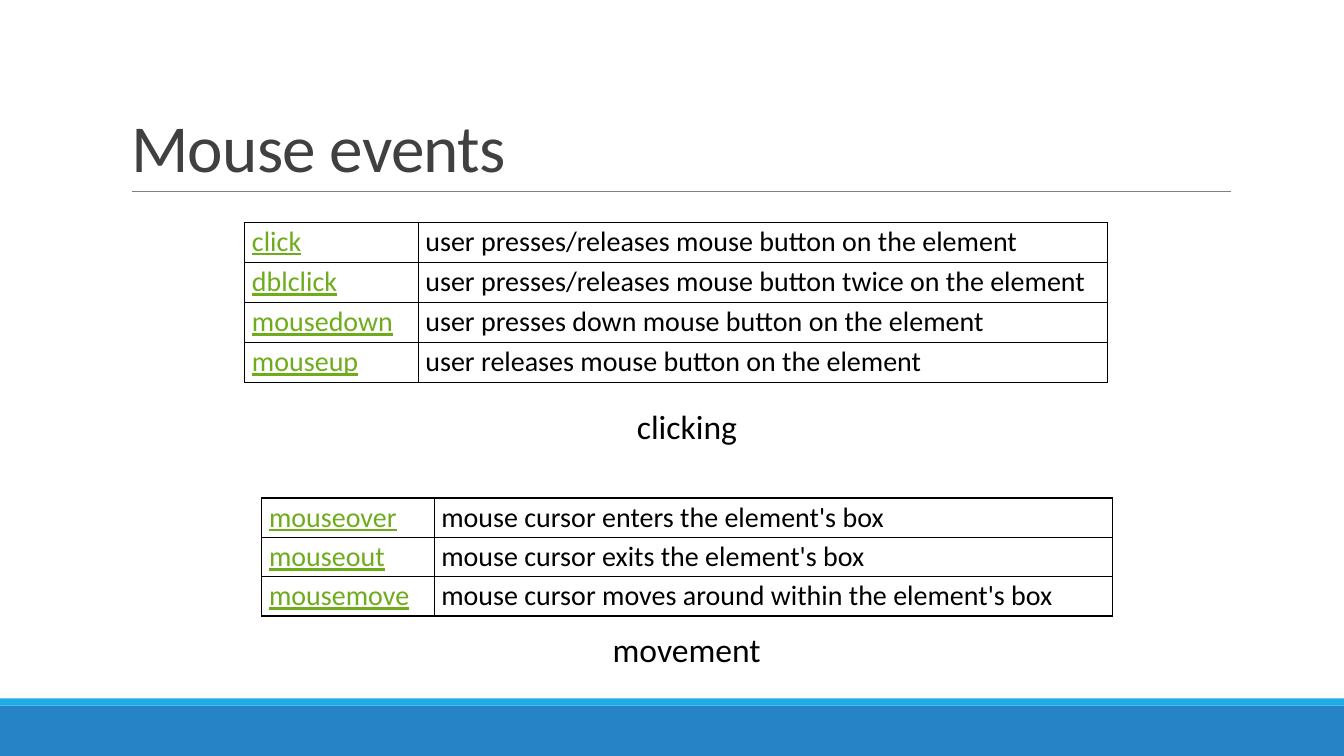
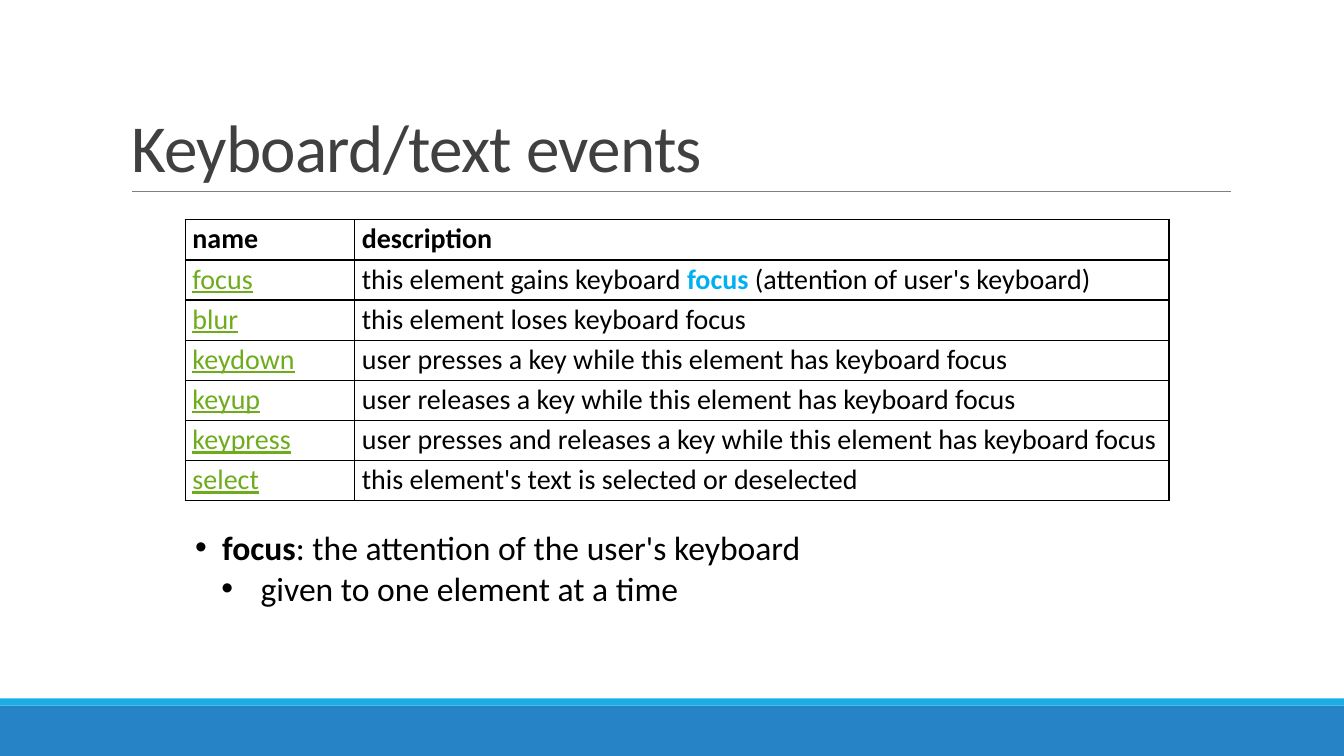
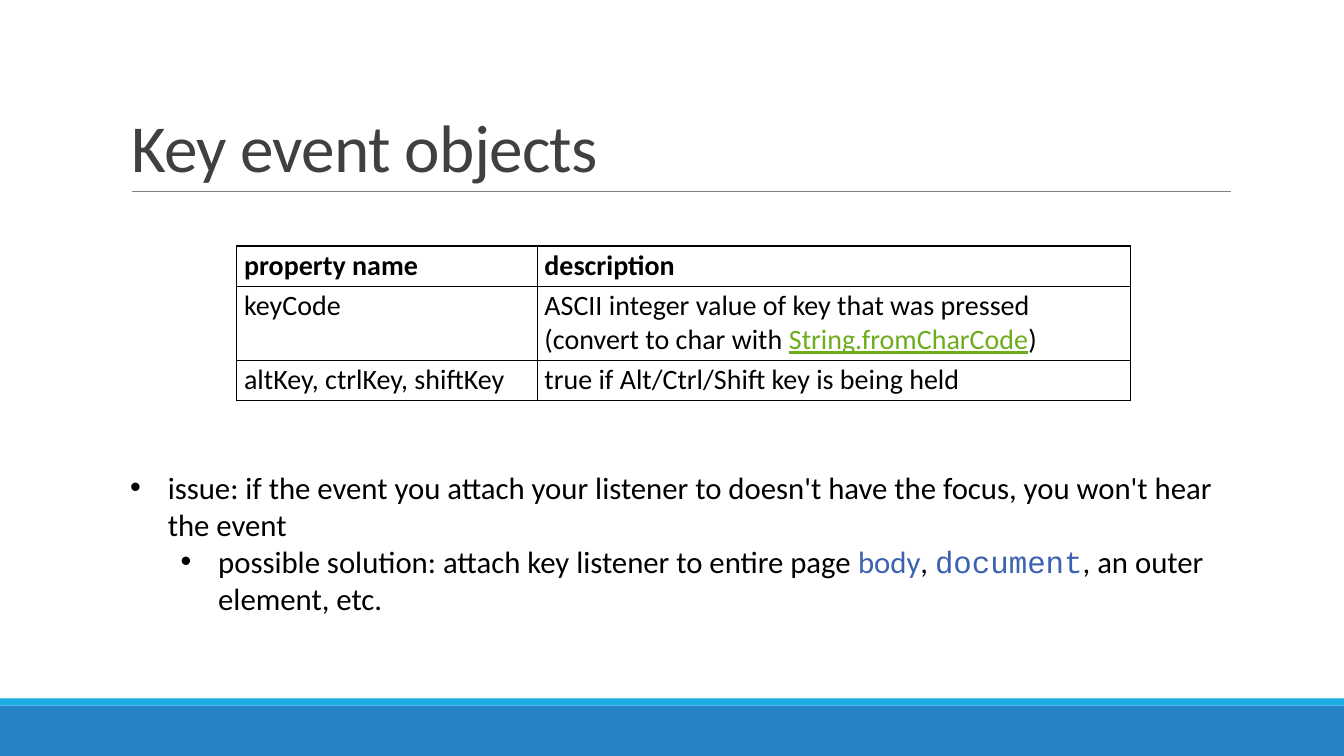
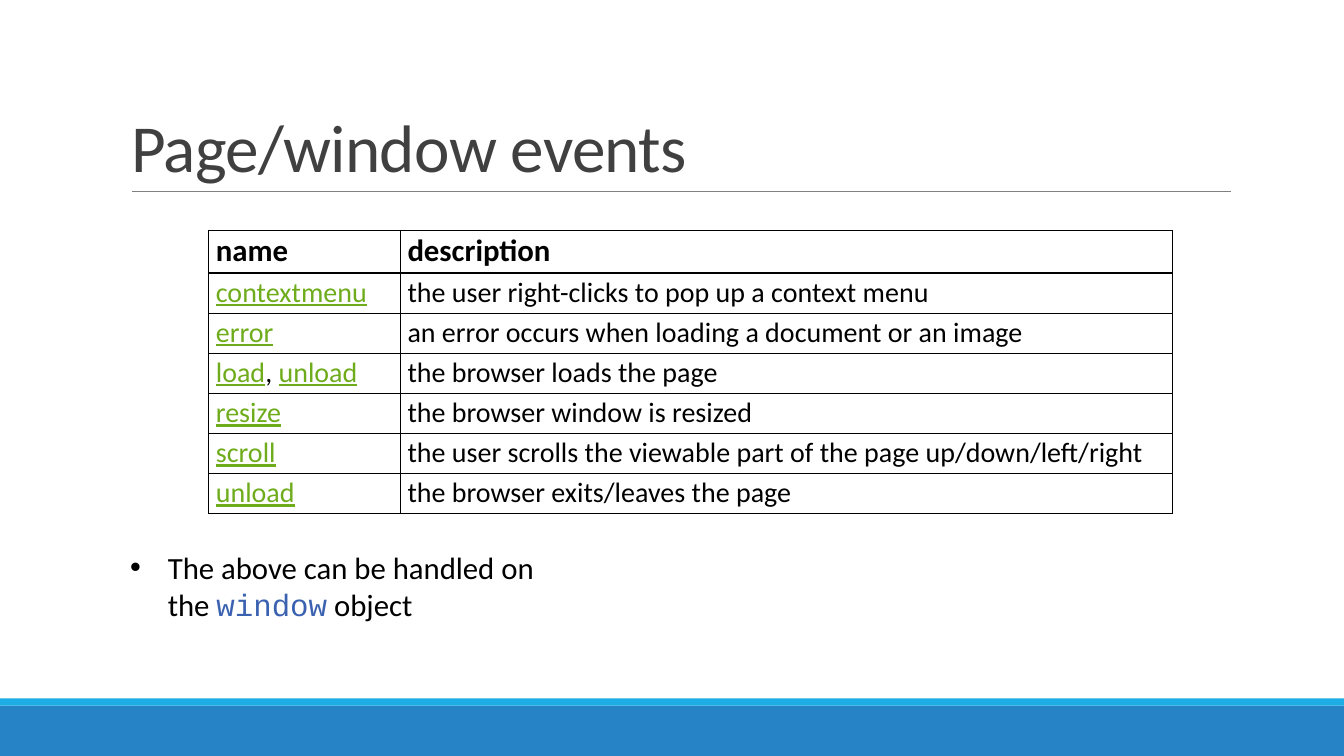
import dataclasses

import lxml.etree
import pptx
import pptx.dml.color
import pptx.enum.shapes
import pptx.enum.text
import pptx.oxml.ns
import pptx.util

Cm = pptx.util.Cm
Pt = pptx.util.Pt
qn = pptx.oxml.ns.qn
RGB = pptx.dml.color.RGBColor.from_string


@dataclasses.dataclass(frozen=True)
class Theme:
    font: str = "Calibri"
    code_font: str = "Courier New"
    text: str = "000000"
    title: str = "404040"
    link: str = "6EAC1C"
    focus: str = "00B0F0"
    code: str = "3B62B1"
    band: str = "2683C6"
    stripe: str = "1CADE4"
    rule: str = "808080"
    title_size: int = 48
    caption_size: int = 24
    note_size: int = 22
    table_size: int = 20


theme = Theme()

# Inline styles: colour, font, bold, underline
styles = {
    "plain": (theme.text, theme.font, False, False),
    "bold": (theme.text, theme.font, True, False),
    "link": (theme.link, theme.font, False, True),
    "focus": (theme.focus, theme.font, True, False),
    "term": (theme.code, theme.font, False, False),
    "code": (theme.code, theme.code_font, False, False),
}

# Slide content: |style:text| marks a styled piece, a new line a new paragraph.
# Table: left, top, column widths, row heights, header size, rows.
# Text: left, top, width, height, size, wrap, right margin, markup, bullets (indent, hanging).
slides = [
    {
        "title": "Mouse events",
        "tables": [
            (6.17, 5.6, (4.37, 17.37), [1.01] * 4, theme.table_size, [
                ("|link:click|", "user presses/releases mouse button on the element"),
                ("|link:dblclick|", "user presses/releases mouse button twice on the element"),
                ("|link:mousedown|", "user presses down mouse button on the element"),
                ("|link:mouseup|", "user releases mouse button on the element"),
            ]),
            (6.6, 12.55, (4.34, 17.09), [0.99] * 3, theme.table_size, [
                ("|link:mouseover|", "mouse cursor enters the element's box"),
                ("|link:mouseout|", "mouse cursor exits the element's box"),
                ("|link:mousemove|", "mouse cursor moves around within the element's box"),
            ]),
        ],
        "texts": [
            (15.8, 10.11, 3.05, 1.27, theme.caption_size, False, 0.25, "clicking", []),
            (15.19, 15.72, 4.29, 1.27, theme.caption_size, False, 0.25, "movement", []),
        ],
    },
    {
        "title": "Keyboard/text events",
        "tables": [
            (4.67, 5.54, (4.27, 20.52), [1.01] * 7, theme.table_size, [
                ("|bold:name|", "|bold:description|"),
                ("|link:focus|", "this element gains keyboard |focus:focus| (attention of user's keyboard)"),
                ("|link:blur|", "this element loses keyboard focus"),
                ("|link:keydown|", "user presses a key while this element has keyboard focus"),
                ("|link:keyup|", "user releases a key while this element has keyboard focus"),
                ("|link:keypress|", "user presses and releases a key while this element has keyboard focus"),
                ("|link:select|", "this element's text is selected or deselected"),
            ]),
        ],
        "texts": [
            (4.67, 13.16, 24.79, 2.31, theme.caption_size, True, 0.25,
             "|bold:focus|: the attention of the user's keyboard\n"
             "given to one element at a time",
             [(0.68, 0.68), (1.65, 0.99)]),
        ],
    },
    {
        "title": "Key event objects",
        "tables": [
            (5.97, 6.2, (7.57, 14.94), [1.01, 1.87, 1.01], theme.table_size, [
                ("|bold:property name|", "|bold:description|"),
                ("keyCode", "ASCII integer value of key that was pressed\n"
                            "(convert to char with |link:String.fromCharCode|)"),
                ("altKey, ctrlKey, shiftKey", "true if Alt/Ctrl/Shift key is being held"),
            ]),
        ],
        "texts": [
            (3.05, 10.85, 27.94, 5.97, theme.note_size, True, 0,
             "issue: if the event you attach your listener to doesn't have the focus, "
             "you won't hear the event\n"
             "possible solution: attach key listener to entire page |term:body|, "
             "|code:document|, an outer element, etc.",
             [(0.95, 0.95), (2.22, 0.95)]),
        ],
    },
    {
        "title": "Page/window events",
        "tables": [
            (5.26, 5.8, (4.83, 19.46), [1.08] + [1.01] * 6, theme.note_size, [
                ("|bold:name|", "|bold:description|"),
                ("|link:contextmenu|", "the user right-clicks to pop up a context menu"),
                ("|link:error|", "an error occurs when loading a document or an image"),
                ("|link:load|, |link:unload|", "the browser loads the page"),
                ("|link:resize|", "the browser window is resized"),
                ("|link:scroll|", "the user scrolls the viewable part of the page up/down/left/right"),
                ("|link:unload|", "the browser exits/leaves the page"),
            ]),
        ],
        "texts": [
            (3.05, 13.34, 16.69, 3.15, theme.note_size, True, 6,
             "The above can be handled on the |code:window| object", [(0.95, 0.95)]),
        ],
    },
]


def write_text(text_frame, markup, size):
    """Fill a text frame with styled runs, one paragraph per line of markup."""
    for number, line in enumerate(markup.split("\n")):
        paragraph = text_frame.add_paragraph() if number else text_frame.paragraphs[0]
        for index, piece in enumerate(line.split("|")):
            if not piece:
                continue
            style, text = piece.split(":", 1) if index % 2 else ("plain", piece)
            color, font_name, bold, underline = styles[style]
            run = paragraph.add_run()
            run.text = text
            run.font.name, run.font.size = font_name, Pt(size)
            run.font.bold, run.font.underline = bold, underline
            run.font.color.rgb = RGB(color)


def add_borders(cell):
    """Draw a thin black line on all four sides of a cell."""
    properties = cell._tc.get_or_add_tcPr()
    for side in ("a:lnL", "a:lnR", "a:lnT", "a:lnB"):
        line = lxml.etree.SubElement(properties, qn(side), w=str(Pt(1)))
        fill = lxml.etree.SubElement(line, qn("a:solidFill"))
        lxml.etree.SubElement(fill, qn("a:srgbClr"), val=theme.text)


presentation = pptx.Presentation()
presentation.slide_width, presentation.slide_height = Cm(33.87), Cm(19.05)
layout = presentation.slide_layouts.get_by_name("Title Only")

for position, content in enumerate(slides):
    slide = presentation.slides.add_slide(layout)

    # Bands and title rule, drawn once and moved to the layout
    if position == 0:
        for top, height, color in ((17.78, 1.27, theme.band), (17.6, 0.18, theme.stripe)):
            band = slide.shapes.add_shape(
                pptx.enum.shapes.MSO_SHAPE.RECTANGLE,
                0, Cm(top), presentation.slide_width, Cm(height))
            band.shadow.inherit = False
            band.fill.solid()
            band.fill.fore_color.rgb = RGB(color)
            band.line.fill.background()
            layout.shapes.element.append(band.element)
        rule = slide.shapes.add_connector(
            pptx.enum.shapes.MSO_CONNECTOR.STRAIGHT, Cm(3.33), Cm(4.82), Cm(31.01), Cm(4.82))
        rule.line.color.rgb = RGB(theme.rule)
        rule.line.width = Pt(0.5)
        lxml.etree.SubElement(rule.element.spPr, qn("a:effectLst"))
        layout.shapes.element.append(rule.element)

    # Title
    title = slide.shapes.title
    title.left, title.top, title.width, title.height = Cm(3.05), Cm(0.79), Cm(27.94), Cm(4.04)
    title.text_frame.text = content["title"]
    title.text_frame.vertical_anchor = pptx.enum.text.MSO_ANCHOR.BOTTOM
    paragraph = title.text_frame.paragraphs[0]
    paragraph.alignment = pptx.enum.text.PP_ALIGN.LEFT
    paragraph.line_spacing = 0.85
    run = paragraph.runs[0]
    run.font.name, run.font.size = theme.font, Pt(theme.title_size)
    run.font.color.rgb = RGB(theme.title)
    run._r.get_or_add_rPr().set("spc", "-50")

    # Tables
    for left, top, widths, heights, header_size, rows in content["tables"]:
        table = slide.shapes.add_table(
            len(rows), len(widths), Cm(left), Cm(top), Cm(sum(widths)), Cm(sum(heights))).table
        table.first_row = table.horz_banding = False
        for column, width in zip(table.columns, widths):
            column.width = Cm(width)
        for row_index, (row, height) in enumerate(zip(rows, heights)):
            table.rows[row_index].height = Cm(height)
            for column_index, markup in enumerate(row):
                cell = table.cell(row_index, column_index)
                cell.margin_left = cell.margin_right = Cm(0.18)
                cell.margin_top = cell.margin_bottom = Cm(0.06)
                add_borders(cell)
                cell.fill.background()
                write_text(cell.text_frame, markup, theme.table_size if row_index else header_size)

    # Captions and bulleted notes
    for left, top, width, height, size, wrap, margin_right, markup, bullets in content["texts"]:
        text_frame = slide.shapes.add_textbox(Cm(left), Cm(top), Cm(width), Cm(height)).text_frame
        text_frame.word_wrap = wrap
        text_frame.margin_right = Cm(margin_right)
        if size == theme.note_size:
            text_frame.vertical_anchor = pptx.enum.text.MSO_ANCHOR.MIDDLE
            text_frame.margin_left, text_frame.margin_top = Cm(0.23), 0
            text_frame.margin_bottom = Cm(0.33)
        write_text(text_frame, markup, size)
        for level, (paragraph, (indent, hanging)) in enumerate(zip(text_frame.paragraphs, bullets)):
            paragraph.level = level
            properties = paragraph._p.get_or_add_pPr()
            properties.set("marL", str(Cm(indent)))
            properties.set("indent", str(-Cm(hanging)))
            lxml.etree.SubElement(properties, qn("a:buFont"), typeface="Arial")
            lxml.etree.SubElement(properties, qn("a:buChar"), char="•")

presentation.save("out.pptx")
